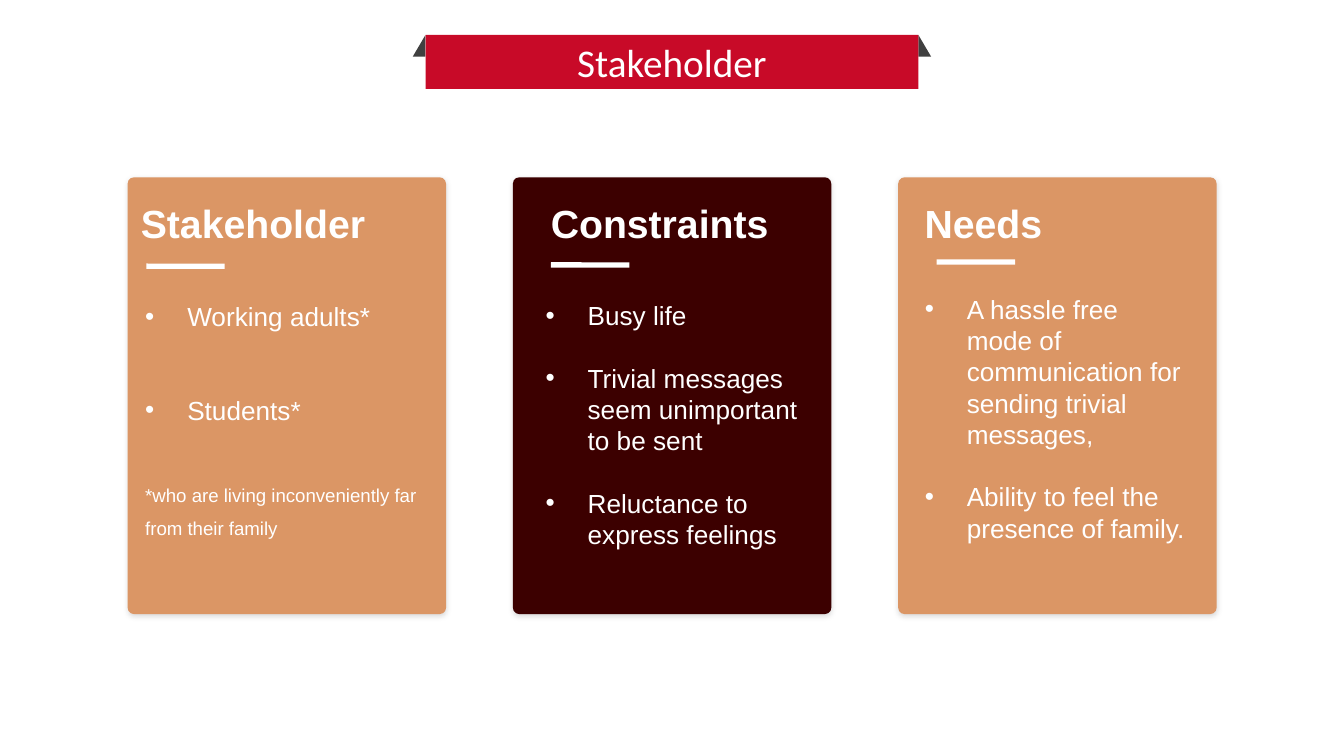
"""Builds the Stakeholder slide with a ribbon title and three cards."""
from lxml import etree
from pptx import Presentation
from pptx.dml.color import RGBColor
from pptx.enum.shapes import MSO_SHAPE
from pptx.enum.text import MSO_ANCHOR, MSO_AUTO_SIZE, PP_ALIGN
from pptx.oxml import parse_xml
from pptx.oxml.ns import nsdecls, qn
from pptx.util import Pt

RECT = MSO_SHAPE.RECTANGLE
ROUND = MSO_SHAPE.ROUNDED_RECTANGLE
TRIANGLE = MSO_SHAPE.RIGHT_TRIANGLE
TOP, MIDDLE = MSO_ANCHOR.TOP, MSO_ANCHOR.MIDDLE
LEFT, CENTER = PP_ALIGN.LEFT, PP_ALIGN.CENTER
COMPARISON_LAYOUT = 4

RED, GREY, WHITE = "C80A28", "404040", "FFFFFF"
TAN, MAROON = "DB9665", "3C0000"

CARD_LEFT, CARD_TOP, CARD_W, CARD_H = 68.4, 95, 170.6, 234
CARD_PITCH = 206.4
RIBBON = (228, 18.7, 264, 29)
FOLD_W, FOLD_H = 6.8, 11.6

CARDS = [
    dict(heading="Stakeholder", fill=TAN, heading_x=68.4,
         rule=(78.4, 141.2), box=(70.6, 149, 164.2, 164), spacing=1.5, gap=25,
         items=["Working adults*", "Students*"],
         note="*who are living inconveniently far from their family"),
    dict(heading="Constraints", fill=MAROON, heading_x=288,
         rule=(295.2, 140.5), box=(285.1, 157, 149.8, 177), spacing=1, gap=16.5,
         items=["Busy life", "Trivial messages seem unimportant to be sent",
                "Reluctance to express feelings"]),
    dict(heading="Needs", fill=TAN, heading_x=488.2,
         rule=(501.8, 139), box=(488.2, 153.4, 154.1, 160), spacing=1, gap=16.5,
         items=["A hassle free mode of communication for sending trivial messages,",
                "Ability to feel the presence of family."]),
]


def rgb(value):
    """Turn a hex string into a colour."""
    return RGBColor.from_string(value)


def write(p, text, size=14, font="Arial", bold=False, color=WHITE,
          align=LEFT, spacing=1, before=0):
    """Add formatted text to a paragraph."""
    p.alignment, p.line_spacing = align, spacing
    p.space_before, p.space_after = Pt(before), Pt(0)
    r = p.add_run()
    r.text = text
    r.font.size, r.font.name, r.font.bold = Pt(size), font, bold
    r.font.color.rgb = rgb(color)


def set_bullet(p, char=None, indent=22.5):
    """Give a paragraph a hanging bullet, or none."""
    pPr = p._p.get_or_add_pPr()
    width = Pt(indent) if char else 0
    pPr.set("marL", str(width))
    pPr.set("indent", str(-width))
    if char:
        etree.SubElement(pPr, qn("a:buFont")).set("typeface", "Arial")
        etree.SubElement(pPr, qn("a:buChar")).set("char", char)
    else:
        etree.SubElement(pPr, qn("a:buNone"))


class Deck:
    """Holds the presentation style and the current slide."""

    def __init__(self):
        """Open a blank presentation with one slide."""
        self.prs = Presentation()
        self.prs.slide_width, self.prs.slide_height = Pt(720), Pt(405)
        layout = self.prs.slide_layouts[COMPARISON_LAYOUT]
        self.slide = self.prs.slides.add_slide(layout)

    def shape(self, kind, x, y, w, h, fill, flip=False, shadow=False):
        """Add a filled shape without an outline."""
        sp = self.slide.shapes.add_shape(kind, Pt(x), Pt(y), Pt(w), Pt(h))
        sp.fill.solid()
        sp.fill.fore_color.rgb = rgb(fill)
        sp.line.fill.background()
        sp.shadow.inherit = False
        if kind == ROUND:
            sp.adjustments[0] = 0.02
        spPr = sp._element.spPr
        if flip:
            spPr.xfrm.set("flipH", "1")
        if shadow:
            spPr.find(qn("a:effectLst")).append(parse_xml(
                f'<a:outerShdw {nsdecls("a")} blurRad="{Pt(3)}" dist="{Pt(1)}" '
                'dir="5400000" algn="t" rotWithShape="0"><a:srgbClr val="000000">'
                '<a:alpha val="15000"/></a:srgbClr></a:outerShdw>'))

    def placeholder(self, idx, x, y, w, h, anchor=TOP):
        """Place a template placeholder in front and return its text frame."""
        sp = self.slide.placeholders[idx]
        sp.left, sp.top, sp.width, sp.height = Pt(x), Pt(y), Pt(w), Pt(h)
        self.slide.shapes._spTree.append(sp._element)
        tf = sp.text_frame
        tf.auto_size, tf.word_wrap = MSO_AUTO_SIZE.NONE, True
        tf.vertical_anchor = anchor
        return tf

    def title(self, text):
        """Add the ribbon and its title."""
        x, y, w, h = RIBBON
        self.shape(TRIANGLE, x + w, y, FOLD_W, FOLD_H, GREY)
        self.shape(TRIANGLE, x - FOLD_W, y, FOLD_W, FOLD_H, GREY, flip=True)
        self.shape(RECT, x, y, w, h, RED)
        tf = self.placeholder(0, *RIBBON, anchor=MIDDLE)
        write(tf.paragraphs[0], text, size=21, font="Calibri", align=CENTER)

    def heading(self, text, x):
        """Add a card heading."""
        sp = self.slide.shapes.add_textbox(Pt(x), Pt(103), Pt(136), Pt(32.4))
        tf = sp.text_frame
        tf.word_wrap = False
        write(tf.paragraphs[0], text, size=21, bold=True)

    def bullets(self, idx, box, items, spacing, gap, note=None):
        """Fill a body placeholder with a list and an optional note."""
        tf = self.placeholder(idx, *box)
        for i, item in enumerate(items):
            p = tf.add_paragraph() if i else tf.paragraphs[0]
            set_bullet(p, "•")
            write(p, item, spacing=spacing, before=gap if i else 0)
        if note:
            p = tf.add_paragraph()
            set_bullet(p)
            write(p, note, size=10, spacing=spacing, before=gap)

    def card(self, i, heading, fill, heading_x, rule, **body):
        """Add one card with heading, rule and list."""
        self.shape(ROUND, CARD_LEFT + i * CARD_PITCH, CARD_TOP, CARD_W, CARD_H,
                   fill, shadow=True)
        self.heading(heading, heading_x)
        self.shape(ROUND, *rule, 42, 2.8, WHITE)
        self.bullets(i + 1, **body)

    def save(self):
        """Remove empty placeholders and save the file."""
        for sp in list(self.slide.placeholders):
            if not sp.text_frame.text:
                sp._element.getparent().remove(sp._element)
        self.prs.save("out.pptx")


def main():
    """Build the slide."""
    deck = Deck()
    deck.title("Stakeholder")
    for i, card in enumerate(CARDS):
        deck.card(i, **card)
    deck.save()


if __name__ == "__main__":
    main()
